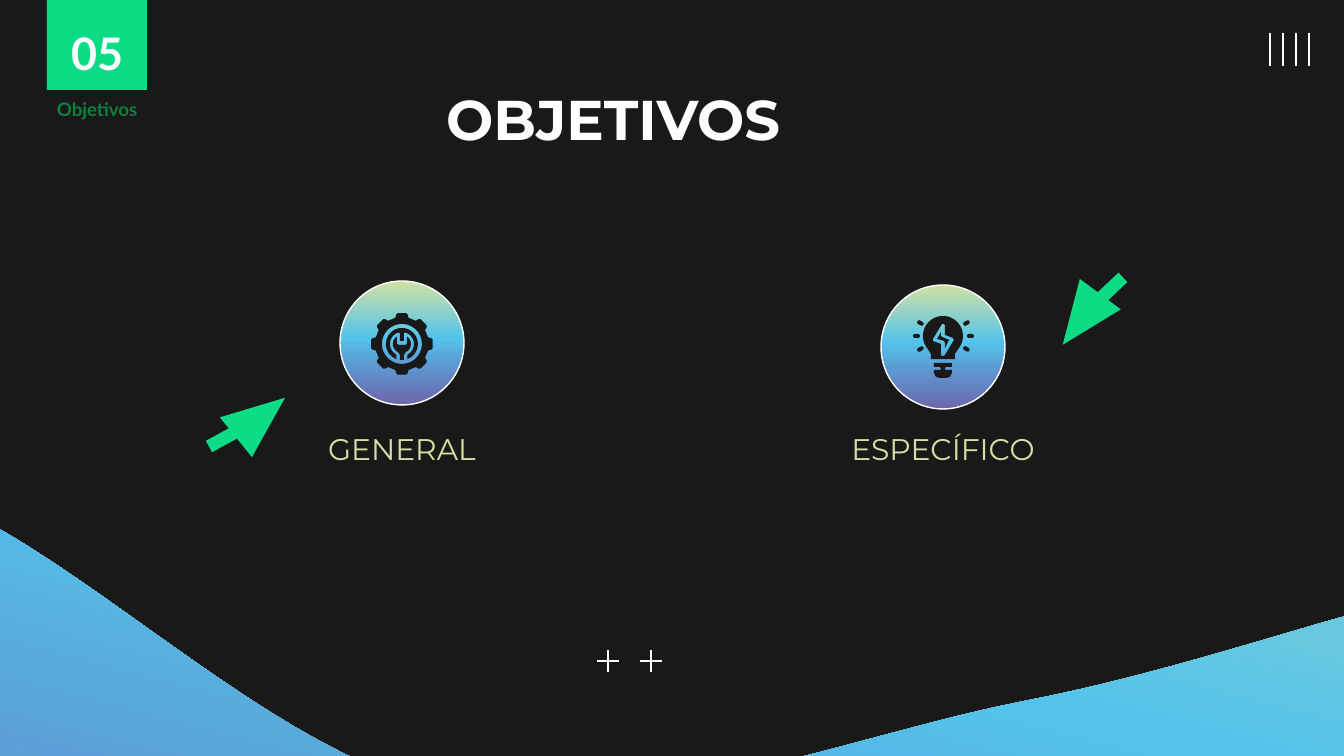
from math import cos, radians, sin

from lxml.etree import SubElement
from pptx import Presentation
from pptx.dml.color import RGBColor
from pptx.enum.shapes import MSO_CONNECTOR, MSO_SHAPE
from pptx.enum.text import MSO_ANCHOR, MSO_AUTO_SIZE, PP_ALIGN
from pptx.oxml.ns import qn
from pptx.util import Pt

PX = 914400 / 134.4
INK = RGBColor(0x19, 0x19, 0x19)
WHITE = RGBColor(0xFF, 0xFF, 0xFF)
GREEN = RGBColor(0x0E, 0xDB, 0x86)
DARK_GREEN = RGBColor(0x09, 0x81, 0x3F)
LIME = RGBColor(0xD0, 0xE1, 0xA3)
SKY = RGBColor(0x53, 0xC3, 0xEC)
BLUE = RGBColor(0x5C, 0x9C, 0xD5)
VIOLET = RGBColor(0x6E, 0x66, 0xAB)
GRADIENT = [(0, LIME), (46, SKY), (66, BLUE), (100, VIOLET)]

presentation = Presentation()
presentation.slide_width = round(1344 * PX)
presentation.slide_height = round(756 * PX)
slide = presentation.slides.add_slide(presentation.slide_layouts[5])
slide.background.fill.solid()
slide.background.fill.fore_color.rgb = INK
shapes = slide.shapes


def arc(radius, start, stop):
    """Points on a circle around 0, 0; degrees run clockwise from the top."""
    angles = [radians(start + (stop - start) * i / 40) for i in range(41)]
    return [(radius * sin(a), -radius * cos(a)) for a in angles]


def add_outline(center, *contours):
    """Dark closed outline; contours are px offsets from the center."""
    builder = None
    for contour in contours:
        points = [((center[0] + x) * PX, (center[1] + y) * PX) for x, y in contour]
        if builder is None:
            builder = shapes.build_freeform(*points[0])
        else:
            builder.move_to(*points[0])
        builder.add_line_segments(points[1:], close=True)
    shape = builder.convert_to_shape()
    shape.shadow.inherit = False
    shape.fill.solid()
    shape.fill.fore_color.rgb = INK
    shape.line.fill.background()
    return shape


# Wave: cubic curves, turned back around the center and then rotated with the gradient
WAVE_TURN = 14.5
WAVE_CENTER = (595, 661)
wave_start = (-500, 694)
wave_curves = [
    ((-536, 641), (-281, 466), (-124, 482)),
    ((34, 499), (253, 753), (444, 789)),
    ((634, 825), (857, 734), (1020, 702)),
    ((1181, 671), (1322, 618), (1414, 599)),
    ((1505, 581), (1540, 573), (1570, 587)),
    ((1601, 601), (1611, 590), (1597, 684)),
    ((1582, 780), (1669, 1117), (1480, 1156)),
    ((1290, 1195), (689, 978), (458, 919)),
    ((228, 860), (257, 836), (97, 798)),
    ((-63, 761), (-462, 746), (-500, 694)),
]
turn = radians(WAVE_TURN)
wave_points = []
for curve in wave_curves:
    for step in range(24):
        t = step / 24
        weights = ((1 - t) ** 3, 3 * t * (1 - t) ** 2, 3 * t * t * (1 - t), t ** 3)
        x, y = (sum(w * p[axis] for w, p in zip(weights, (wave_start, *curve))) - WAVE_CENTER[axis]
                for axis in (0, 1))
        wave_points.append((x * cos(turn) + y * sin(turn), y * cos(turn) - x * sin(turn)))
    wave_start = curve[-1]
wave = add_outline(WAVE_CENTER, wave_points)
wave.rotation = WAVE_TURN
gradient_shapes = [wave]

# Plus signs and corner bars
lines = []
for x in (608, 651):
    lines += [(x - 11, 661, x + 11, 661), (x, 650, x, 672)]
lines += [(1270 + 13 * i, 33, 1270 + 13 * i, 66) for i in range(4)]
for ends in lines:
    connector = shapes.add_connector(MSO_CONNECTOR.STRAIGHT, *(round(v * PX) for v in ends))
    connector.line.color.rgb = WHITE
    connector.line.width = Pt(1.5)
    SubElement(connector._element.spPr, qn("a:effectLst"))

# Icon circles
for left, top in ((340, 281), (881, 285)):
    circle = shapes.add_shape(MSO_SHAPE.OVAL, *(round(v * PX) for v in (left, top, 124, 124)))
    circle.shadow.inherit = False
    circle.line.color.rgb = WHITE
    circle.line.width = Pt(0.75)
    gradient_shapes.append(circle)

for shape in gradient_shapes:
    shape.fill.gradient()
    shape.fill.gradient_angle = 270
    stops = shape._element.spPr.find(".//" + qn("a:gsLst"))
    stops.clear()
    for position, color in GRADIENT:
        stop = SubElement(stops, qn("a:gs"), pos=str(position * 1000))
        SubElement(stop, qn("a:srgbClr"), val=str(color))

# Gear with wrench
gear_center = (402, 344)
tooth = [(-14, 27), (-11, 30), (-8, 31), (8, 31), (11, 30), (14, 27)]
gear = [(radius * sin(radians(45 * i + angle)), -radius * cos(radians(45 * i + angle)))
        for i in range(8) for angle, radius in tooth]
add_outline(gear_center, gear, arc(20, 0, 360))
add_outline(gear_center, arc(16, -160, 160) + arc(12, 153, 18)
            + [(2, -11), (2, -3), (-2, -3), (-2, -11)] + arc(12, -18, -153))
add_outline(gear_center, arc(9, -35, -155) + [(-2, 11), (-2, 16), (2, 16), (2, 11)]
            + arc(9, 155, 35) + [(5, 0), (3, 1), (-3, 1), (-5, 0)])

# Light bulb: glass with bolt, then base
bulb_center = (943, 336)
glass = arc(20, -130, 130) + [(12, 18), (12, 23), (-12, 23), (-12, 18)]
bolt_edge = [(1, -12), (2, -11), (2, -1), (10, 2), (11, 4), (2, 19), (1, 20),
             (-1, 20), (-2, 19), (-2, 8), (-10, 5), (-10, 3), (-1, -12)]
bolt = [(-2, -4), (-6, 3), (1, 5), (2, 7), (2, 12), (6, 4), (-1, 1), (-2, 0)]
base_half = [(9, 27), (9, 31), (3, 31), (2, 32), (2, 33), (3, 34), (9, 34), (9, 37), (7, 41), (3, 42)]
add_outline(bulb_center, glass, bolt_edge)
add_outline(bulb_center, bolt)
add_outline(bulb_center, base_half + [(-x, y) for x, y in reversed(base_half)])

# Solid blocks: bulb rays, number badge and the two pointers
blocks = [(MSO_SHAPE.ROUNDED_RECTANGLE, (bulb_center[0] + x - 3, bulb_center[1] + y - 2, 7, 4), angle, INK)
          for x, y, angle in ((27, 0, 0), (-27, 0, 0), (23, -13, -30),
                              (-23, 13, -30), (23, 13, 30), (-23, -13, 30))]
blocks.append((MSO_SHAPE.RECTANGLE, (47, -26, 100, 116), 0, GREEN))
for head, tail, angle in (((235, 386), (220, 417), 51.2), ((1056, 288), (1102, 271), 216.6)):
    blocks.append((MSO_SHAPE.ISOSCELES_TRIANGLE, (*head, 51, 63), angle, GREEN))
    blocks.append((MSO_SHAPE.RECTANGLE, (*tail, 13, 40), angle + 10.1, GREEN))
for kind, box, angle, color in blocks:
    block = shapes.add_shape(kind, *(round(v * PX) for v in box))
    block.shadow.inherit = False
    block.rotation = angle
    block.fill.solid()
    block.fill.fore_color.rgb = color
    block.line.fill.background()
    if kind == MSO_SHAPE.ROUNDED_RECTANGLE:
        block.adjustments[0] = 0.5

# Title, labels and badge texts
texts = [
    ("OBJETIVOS", (433, 71, 1075, 95), "Montserrat", 30, WHITE, True),
    ("GENERAL", (301, 417, 202, 63), "Montserrat", 16, LIME, False),
    ("ESPECÍFICO", (827, 417, 232, 63), "Montserrat", 16, LIME, False),
    ("Objetivos", (12, 85, 170, 69), "Lato", 10, DARK_GREEN, True),
    ("05", (12, 13, 170, 69), "Lato", 24, WHITE, True),
]
for text, box, font_name, size, color, bold in texts:
    is_title = text == "OBJETIVOS"
    left, top, width, height = (round(v * PX) for v in box)
    if is_title:
        shape = shapes.title
        shape.left, shape.top, shape.width, shape.height = left, top, width, height
    else:
        shape = shapes.add_textbox(left, top, width, height)
    frame = shape.text_frame
    frame.text = text
    frame.word_wrap = True
    frame.auto_size = MSO_AUTO_SIZE.NONE
    frame.vertical_anchor = MSO_ANCHOR.TOP if font_name == "Lato" else MSO_ANCHOR.MIDDLE
    frame.margin_left = frame.margin_right = frame.margin_top = frame.margin_bottom = round(13 * PX)
    paragraph = frame.paragraphs[0]
    paragraph.alignment = PP_ALIGN.LEFT if is_title else PP_ALIGN.CENTER
    paragraph.font.name = font_name
    paragraph.font.size = Pt(size)
    paragraph.font.bold = bold
    paragraph.font.color.rgb = color

presentation.save("out.pptx")
